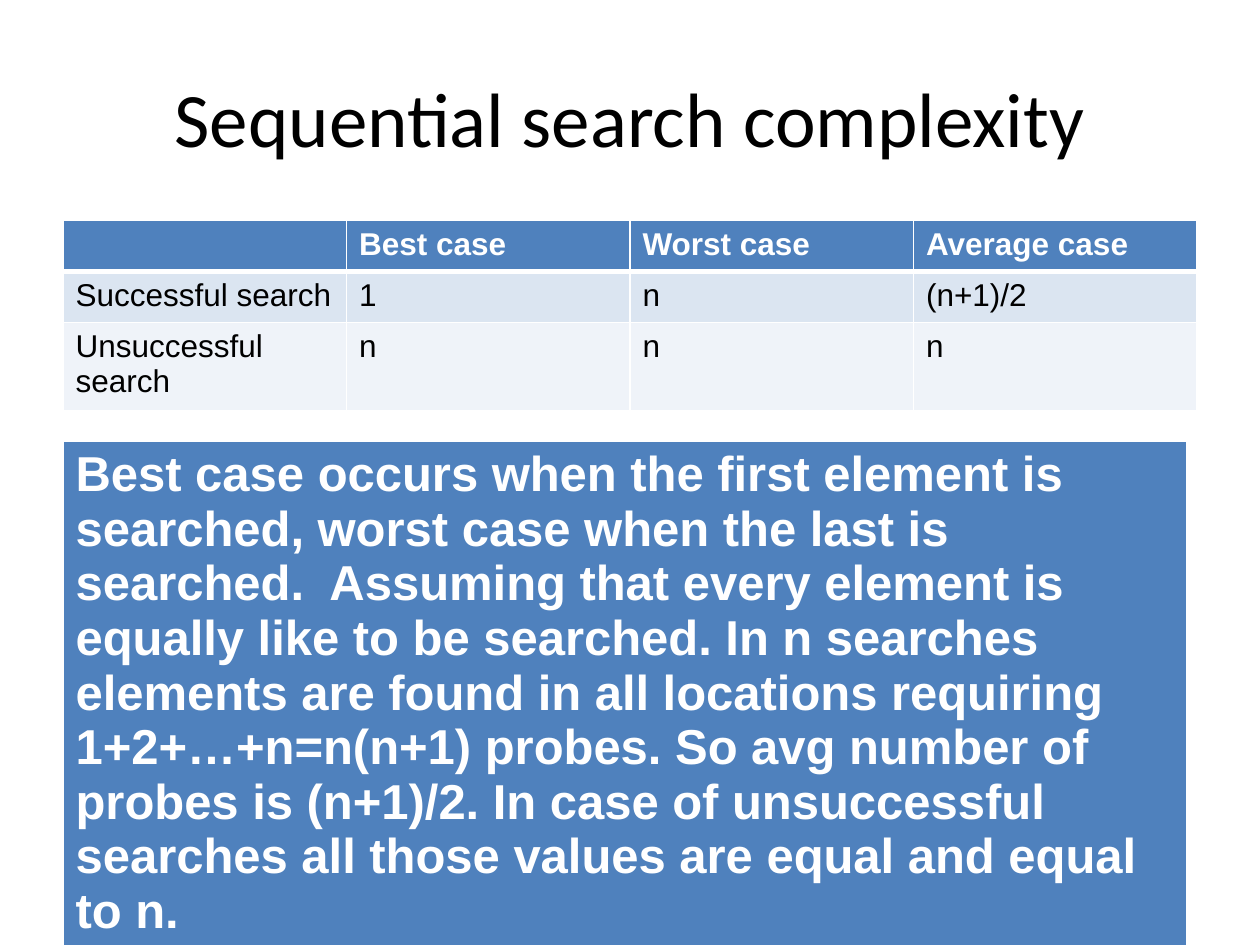
from dataclasses import dataclass

from lxml.etree import SubElement
from pptx import Presentation
from pptx.dml.color import RGBColor
from pptx.enum.text import MSO_ANCHOR, PP_ALIGN
from pptx.oxml.ns import qn
from pptx.slide import Slide
from pptx.table import _Cell
from pptx.text.text import _Paragraph
from pptx.util import Pt

WHITE = "FFFFFF"
BLACK = "000000"
BLUE = "4F81BD"


@dataclass
class CellStyle:
    fill: str
    color: str
    bold: bool
    size: float = 18
    top: float = 1
    bottom: float = 1


@dataclass
class TableSpec:
    left: float
    top: float
    column_width: float
    row_height: float
    rows: list[list[str]]
    styles: list[CellStyle]


def rgb(color: str) -> RGBColor:
    return RGBColor.from_string(color)


def format_paragraph(
    paragraph: _Paragraph, name: str, size: float, color: str, bold: bool = False
) -> None:
    for run in paragraph.runs:
        run.font.name = name
        run.font.size = Pt(size)
        run.font.bold = bold
        run.font.color.rgb = rgb(color)


def add_borders(cell: _Cell, style: CellStyle) -> None:
    properties = cell._tc.get_or_add_tcPr()
    widths = {"a:lnL": 1, "a:lnR": 1, "a:lnT": style.top, "a:lnB": style.bottom}
    for tag, width in widths.items():
        line = SubElement(properties, qn(tag), w=str(Pt(width)))
        SubElement(SubElement(line, qn("a:solidFill")), qn("a:srgbClr"), val=WHITE)


def fill_cell(cell: _Cell, text: str, style: CellStyle) -> None:
    add_borders(cell, style)
    cell.fill.solid()
    cell.fill.fore_color.rgb = rgb(style.fill)
    cell.text_frame.text = text
    paragraph = cell.text_frame.paragraphs[0]
    format_paragraph(paragraph, "Arial", style.size, style.color, style.bold)


def draw_table(slide: Slide, spec: TableSpec) -> None:
    row_count, column_count = len(spec.rows), len(spec.rows[0])
    table = slide.shapes.add_table(
        row_count,
        column_count,
        Pt(spec.left),
        Pt(spec.top),
        Pt(spec.column_width * column_count),
        Pt(spec.row_height * row_count),
    ).table
    for row_index, (texts, style) in enumerate(zip(spec.rows, spec.styles)):
        for column_index, text in enumerate(texts):
            fill_cell(table.cell(row_index, column_index), text, style)


def draw_title(slide: Slide, text: str) -> None:
    title = slide.shapes.add_textbox(Pt(36), Pt(21.6), Pt(648), Pt(90))
    text_frame = title.text_frame
    text_frame.word_wrap = True
    text_frame.vertical_anchor = MSO_ANCHOR.MIDDLE
    text_frame.text = text
    paragraph = text_frame.paragraphs[0]
    paragraph.alignment = PP_ALIGN.CENTER
    format_paragraph(paragraph, "Calibri", 44, BLACK)


COMPLEXITY = TableSpec(
    left=36,
    top=126,
    column_width=162,
    row_height=29.2,
    rows=[
        ["", "Best case", "Worst case", "Average case"],
        ["Successful search", "1", "n", "(n+1)/2"],
        ["Unsuccessful search", "n", "n", "n"],
    ],
    styles=[
        CellStyle(BLUE, WHITE, True, bottom=3),
        CellStyle("DBE5F1", BLACK, False, top=3),
        CellStyle("EFF3F9", BLACK, False),
    ],
)

EXPLANATION = TableSpec(
    left=36,
    top=252,
    column_width=642,
    row_height=234,
    rows=[[
        "Best case occurs when the first element is searched, worst case when "
        "the last is searched.  Assuming that every element is equally like to "
        "be searched. In n searches elements are found in all locations "
        "requiring 1+2+…+n=n(n+1) probes. So avg number of probes is (n+1)/2. "
        "In case of unsuccessful searches all those values are equal and equal "
        "to n."
    ]],
    styles=[CellStyle(BLUE, WHITE, True, size=28, bottom=3)],
)


def main() -> None:
    presentation = Presentation()
    presentation.slide_width = Pt(720)
    presentation.slide_height = Pt(540)
    slide = presentation.slides.add_slide(presentation.slide_layouts[6])
    draw_title(slide, "Sequential search complexity")
    for spec in (COMPLEXITY, EXPLANATION):
        draw_table(slide, spec)
    presentation.save("out.pptx")


if __name__ == "__main__":
    main()
